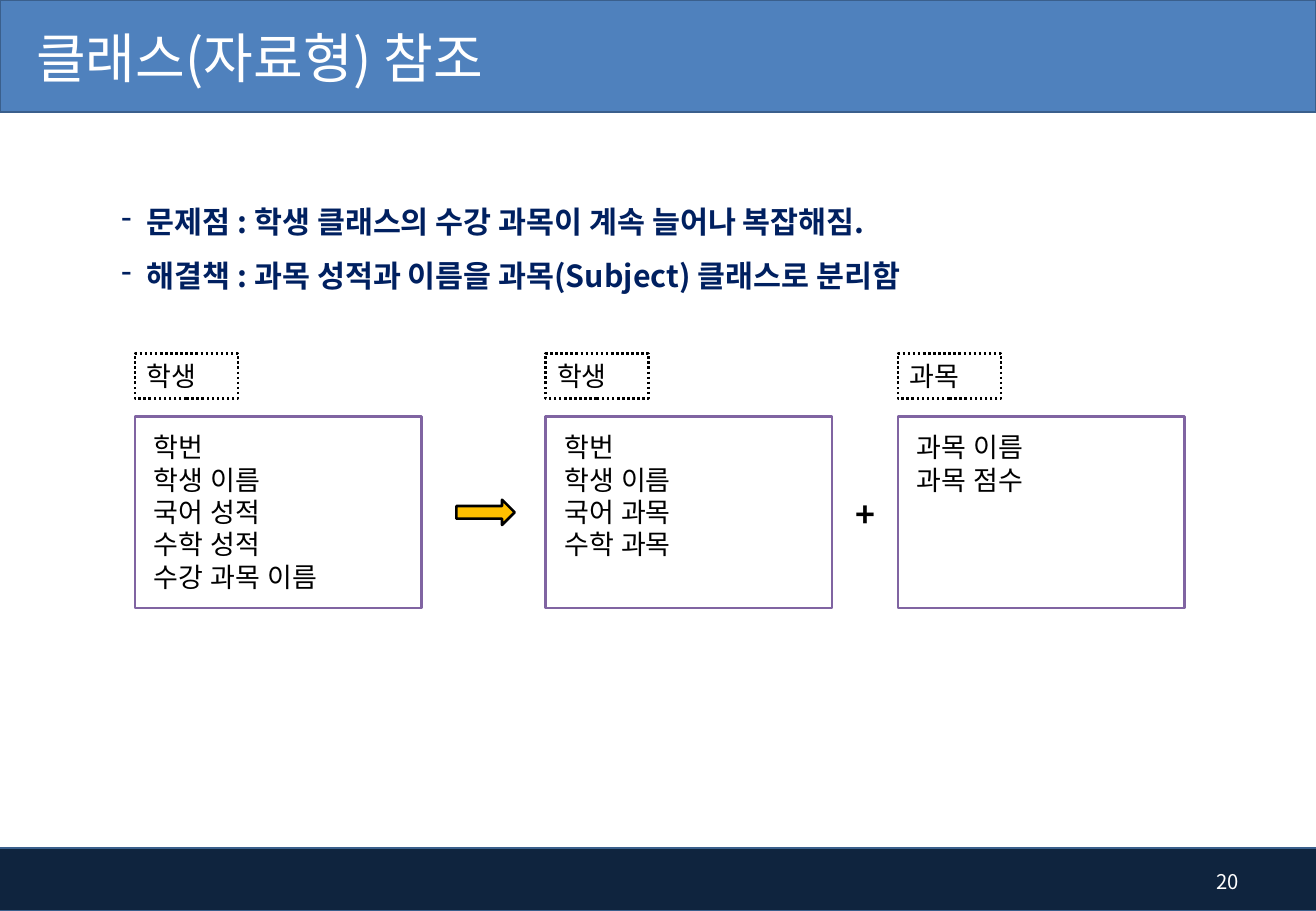
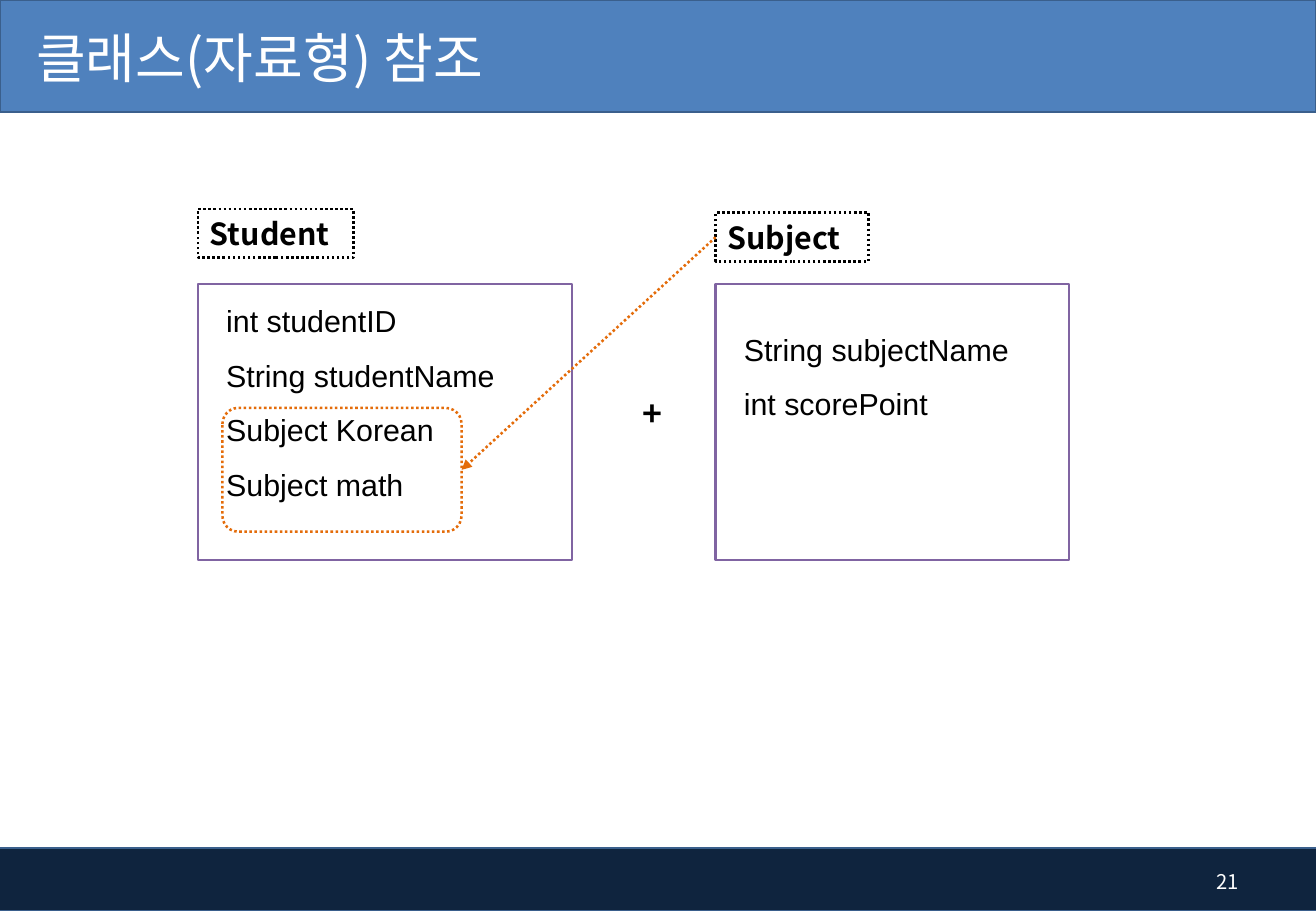
from lxml import etree
from pptx import Presentation
from pptx.dml.color import RGBColor
from pptx.enum.dml import MSO_LINE
from pptx.enum.shapes import MSO_CONNECTOR, MSO_SHAPE
from pptx.enum.text import MSO_ANCHOR, PP_ALIGN
from pptx.oxml.ns import qn
from pptx.util import Cm, Pt

RECTANGLE = MSO_SHAPE.RECTANGLE
ROUNDED = MSO_SHAPE.ROUNDED_RECTANGLE
RIGHT_ARROW = MSO_SHAPE.RIGHT_ARROW
STRAIGHT = MSO_CONNECTOR.STRAIGHT
DOTTED = MSO_LINE.ROUND_DOT
TOP, MIDDLE = MSO_ANCHOR.TOP, MSO_ANCHOR.MIDDLE
LEFT, CENTER, RIGHT = PP_ALIGN.LEFT, PP_ALIGN.CENTER, PP_ALIGN.RIGHT
LEFT_SIDE, RIGHT_SIDE = 1, 3

SANS, ARIAL = "Noto Sans CJK KR", "Arial"
WHITE, BLACK = "FFFFFF", "000000"
BLUE, NAVY, BAND_LINE = "4F81BD", "0F243E", "3A5F8C"
PURPLE, ORANGE, GOLD, DARK_BLUE = "8064A2", "E46C0A", "FFC000", "002060"
SLIDE_WIDTH, SLIDE_HEIGHT = 27.51, 19.05
LINE_HEIGHT = 1.2

TITLE = "클래스(자료형) 참조"
POINTS = [
    "문제점 : 학생 클래스의 수강 과목이 계속 늘어나 복잡해짐.",
    "해결책 : 과목 성적과 이름을 과목(Subject) 클래스로 분리함",
]
KOREAN_CLASSES = [
    (2.82, "학생", ["학번", "학생 이름", "국어 성적", "수학 성적", "수강 과목 이름"]),
    (11.4, "학생", ["학번", "학생 이름", "국어 과목", "수학 과목"]),
    (18.77, "과목", ["과목 이름", "과목 점수"]),
]
CODE_CLASSES = [
    ("Student", (4.14, 4.37, 3.25, 1.02), (4.14, 5.94, 7.82, 5.77), 0,
     ["int studentID", "String studentName", "Subject Korean", "Subject math"]),
    ("Subject", (14.96, 4.45, 3.2, 1.02), (14.96, 5.94, 7.39, 5.77), 0.6,
     ["String subjectName", "int scorePoint"]),
]


def color(value):
    return RGBColor.from_string(value)


def style_line(line, line_color, width=1.5, dash=None):
    line.color.rgb = color(line_color)
    line.width = Pt(width)
    if dash is not None:
        line.dash_style = dash


def add_box(slide, place, fill=None, line=PURPLE, width=1.5, dash=None, kind=RECTANGLE):
    shape = slide.shapes.add_shape(kind, *map(Cm, place))
    shape.shadow.inherit = False
    if fill:
        shape.fill.solid()
        shape.fill.fore_color.rgb = color(fill)
    else:
        shape.fill.background()
    style_line(shape.line, line, width, dash)
    return shape


def add_bullet(paragraph, character, indent):
    properties = paragraph._p.get_or_add_pPr()
    properties.set("marL", str(Cm(indent)))
    properties.set("indent", str(-Cm(indent)))
    etree.SubElement(properties, qn("a:buChar")).set("char", character)


def write(shape, lines, size, font=SANS, text_color=BLACK, bold=False, align=LEFT,
          anchor=MIDDLE, left=0.25, top=0.0, spacing=1, bullet=None):
    frame = shape.text_frame
    frame.text = "\n".join(lines)
    frame.word_wrap = True
    frame.vertical_anchor = anchor
    frame.margin_left, frame.margin_top = Cm(left), Cm(top)
    frame.margin_bottom = 0
    for paragraph in frame.paragraphs:
        if bullet:
            add_bullet(paragraph, bullet, 0.53)
        paragraph.alignment = align
        paragraph.line_spacing = Pt(size * LINE_HEIGHT * spacing)
        for run in paragraph.runs:
            run.font.size = Pt(size)
            run.font.bold = bold
            run.font.name = font
            run.font.color.rgb = color(text_color)
            east_asian = etree.SubElement(run.font._element, qn("a:ea"))
            east_asian.set("typeface", font)


def add_text(slide, place, lines, size, **style):
    write(slide.shapes.add_textbox(*map(Cm, place)), lines, size, **style)


def add_label(slide, place, text, size, bold=False):
    label = add_box(slide, place, line=BLACK, dash=DOTTED)
    write(label, [text], size, bold=bold)
    return label


def add_plus(slide, left, top):
    add_text(slide, (left, top, 1.02, 1.12), ["+"], 20, bold=True, align=CENTER)


def add_base_slide(presentation, number):
    slide = presentation.slides.add_slide(presentation.slide_layouts[6])
    add_box(slide, (-0.1, 17.73, SLIDE_WIDTH + 0.13, 1.32), NAVY, BAND_LINE, 1)
    add_box(slide, (0, 0, SLIDE_WIDTH, 2.34), BLUE, BAND_LINE, 1)
    add_text(slide, (0, 0, 17.22, 2.39), [TITLE], 32, text_color=WHITE, left=0.76)
    add_text(slide, (24.59, 17.93, 1.55, 1.02), [str(number)], 12,
             text_color=WHITE, align=RIGHT)
    return slide


def build_split_slide(presentation):
    slide = add_base_slide(presentation, 20)
    add_text(slide, (2.54, 3.86, 18.8, 2.3), POINTS, 18, text_color=DARK_BLUE,
             bold=True, anchor=TOP, left=0, spacing=1.5, bullet="-")
    for left, name, fields in KOREAN_CLASSES:
        add_label(slide, (left, 7.39, 2.16, 0.94), name, 16)
        box = add_box(slide, (left, 8.71, 5.99, 4.01), WHITE)
        write(box, fields, 16, font=ARIAL, anchor=TOP, left=0.4, top=0.3)
    add_box(slide, (9.54, 10.45, 1.22, 0.53), GOLD, BLACK, kind=RIGHT_ARROW)
    add_plus(slide, 17.58, 10.19)


def build_reference_slide(presentation):
    slide = add_base_slide(presentation, 21)
    labels = {}
    for name, label_place, box_place, top, fields in CODE_CLASSES:
        labels[name] = add_label(slide, label_place, name, 18, bold=True)
        box = add_box(slide, box_place, WHITE)
        write(box, fields, 18, font=ARIAL, anchor=TOP, left=0.59, top=top, spacing=1.5)
    add_plus(slide, 13.13, 8.08)
    highlight = add_box(slide, (4.65, 8.53, 5, 2.59), line=ORANGE, dash=DOTTED, kind=ROUNDED)
    highlight.adjustments[0] = 0.13
    arrow = slide.shapes.add_connector(STRAIGHT, 0, 0, 0, 0)
    arrow.begin_connect(labels["Subject"], LEFT_SIDE)
    arrow.end_connect(highlight, RIGHT_SIDE)
    style_line(arrow.line, ORANGE, dash=DOTTED)
    etree.SubElement(arrow.line._get_or_add_ln(), qn("a:tailEnd")).set("type", "triangle")
    etree.SubElement(arrow._element.spPr, qn("a:effectLst"))


def main():
    presentation = Presentation()
    presentation.slide_width = Cm(SLIDE_WIDTH)
    presentation.slide_height = Cm(SLIDE_HEIGHT)
    build_split_slide(presentation)
    build_reference_slide(presentation)
    presentation.save("out.pptx")


if __name__ == "__main__":
    main()
